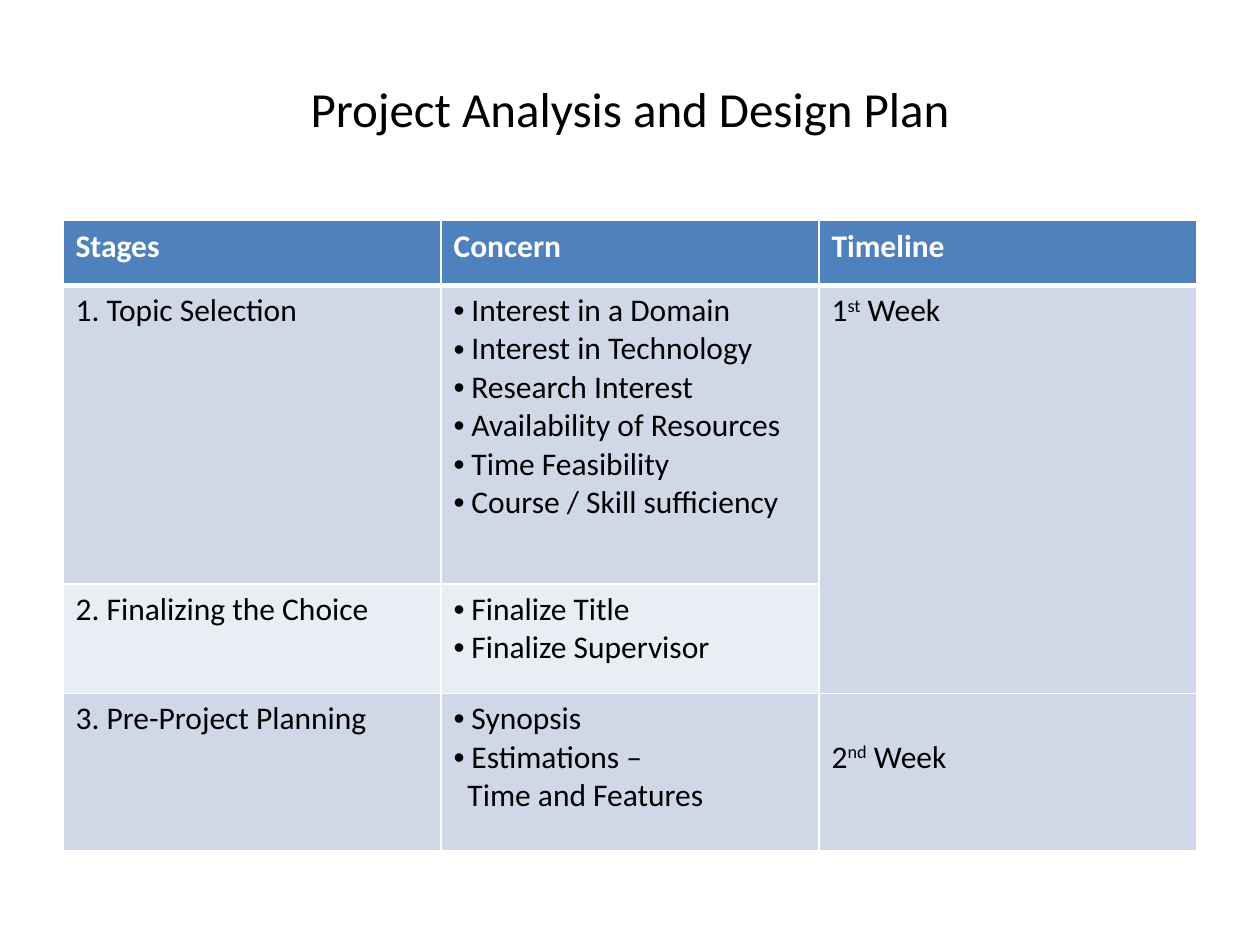
from dataclasses import dataclass

from lxml.etree import SubElement
from pptx import Presentation
from pptx.dml.color import RGBColor
from pptx.enum.text import MSO_ANCHOR, PP_ALIGN
from pptx.oxml.ns import qn
from pptx.util import Cm, Pt

WHITE, BLACK, HEADER = "FFFFFF", "000000", "4F81BD"
BANDS = ("D0D8E8", "E9EDF4")


@dataclass
class Line:
    text: str
    superscript: str = ""
    ending: str = ""
    bullet: bool = False
    indent: float = 0


@dataclass
class Stage:
    name: str
    concerns: list[Line]
    timeline: Line | None
    height: float
    timeline_offset: float = 0


def bullets(*texts: str) -> list[Line]:
    return [Line(text, bullet=True, indent=0.36) for text in texts]


STAGES = [
    Stage("1. Topic Selection",
          bullets("Interest in a Domain", "Interest in Technology", "Research Interest",
                  "Availability of Resources", "Time Feasibility", "Course / Skill sufficiency"),
          Line("1", "st", " Week"), 6.02),
    Stage("2. Finalizing the Choice", bullets("Finalize Title", "Finalize Supervisor"), None, 2.21),
    Stage("3. Pre-Project Planning",
          bullets("Synopsis", "Estimations –") + [Line("Time and Features", indent=0.28)],
          Line("2", "nd", " Week"), 3.18, 0.77),
]


def color(value: str) -> RGBColor:
    return RGBColor.from_string(value)


def set_font(paragraph, size: float, value: str, bold: bool = False) -> None:
    paragraph.font.name = "Calibri"
    paragraph.font.size = Pt(size)
    paragraph.font.bold = bold
    paragraph.font.color.rgb = color(value)


def set_borders(cell, bottom: float) -> None:
    properties = cell._tc.get_or_add_tcPr()
    for side, width in (("L", 1), ("R", 1), ("T", 1), ("B", bottom)):
        border = SubElement(properties, qn(f"a:ln{side}"), w=str(Pt(width)))
        fill = SubElement(border, qn("a:solidFill"))
        SubElement(fill, qn("a:srgbClr"), val=WHITE)


def write_line(paragraph, line: Line) -> None:
    paragraph.add_run().text = line.text
    if line.superscript:
        run = paragraph.add_run()
        run.text = line.superscript
        run._r.get_or_add_rPr().set("baseline", "30000")
        paragraph.add_run().text = line.ending
    if line.indent:
        properties = paragraph._p.get_or_add_pPr()
        properties.set("marL", str(Cm(line.indent)))
        properties.set("indent", str(-Cm(line.indent) if line.bullet else 0))
        if line.bullet:
            SubElement(properties, qn("a:buFont"), typeface="Arial")
            SubElement(properties, qn("a:buChar"), char="•")


def fill_cell(cell, lines: list[Line], fill: str, header: bool = False) -> None:
    set_borders(cell, 3 if header else 1)
    cell.fill.solid()
    cell.fill.fore_color.rgb = color(fill)
    for index, line in enumerate(lines):
        paragraph = cell.text_frame.add_paragraph() if index else cell.text_frame.paragraphs[0]
        write_line(paragraph, line)
        set_font(paragraph, 18, WHITE if header else BLACK, header)


def add_title(slide, text: str) -> None:
    title = slide.shapes.title
    title.left, title.top, title.width, title.height = Cm(1.27), Cm(0.76), Cm(22.86), Cm(2.84)
    title.text_frame.text = text
    title.text_frame.vertical_anchor = MSO_ANCHOR.MIDDLE
    paragraph = title.text_frame.paragraphs[0]
    paragraph.alignment = PP_ALIGN.CENTER
    set_font(paragraph, 28, BLACK)


def add_plan(slide, headings: tuple[str, ...], stages: list[Stage]) -> None:
    heights = [1.3] + [stage.height for stage in stages]
    table = slide.shapes.add_table(len(heights), len(headings), Cm(1.27), Cm(4.45),
                                   Cm(22.86), Cm(sum(heights))).table
    for row, height in zip(table.rows, heights):
        row.height = Cm(height)
    for column, heading in enumerate(headings):
        table.columns[column].width = Cm(7.62)
        fill_cell(table.cell(0, column), [Line(heading)], HEADER, True)
    for row, stage in enumerate(stages, start=1):
        fill = BANDS[(row - 1) % 2]
        timeline = [stage.timeline] if stage.timeline else []
        for column, lines in enumerate(([Line(stage.name)], stage.concerns, timeline)):
            fill_cell(table.cell(row, column), lines, fill)
        if stage.timeline_offset:
            table.cell(row, 2).margin_top = Cm(0.13 + stage.timeline_offset)
    table.cell(1, 2).merge(table.cell(2, 2))


presentation = Presentation()
presentation.slide_width, presentation.slide_height = Cm(25.4), Cm(19.05)
slide = presentation.slides.add_slide(presentation.slide_layouts[5])
add_title(slide, "Project Analysis and Design Plan")
add_plan(slide, ("Stages", "Concern", "Timeline"), STAGES)
presentation.save("out.pptx")
